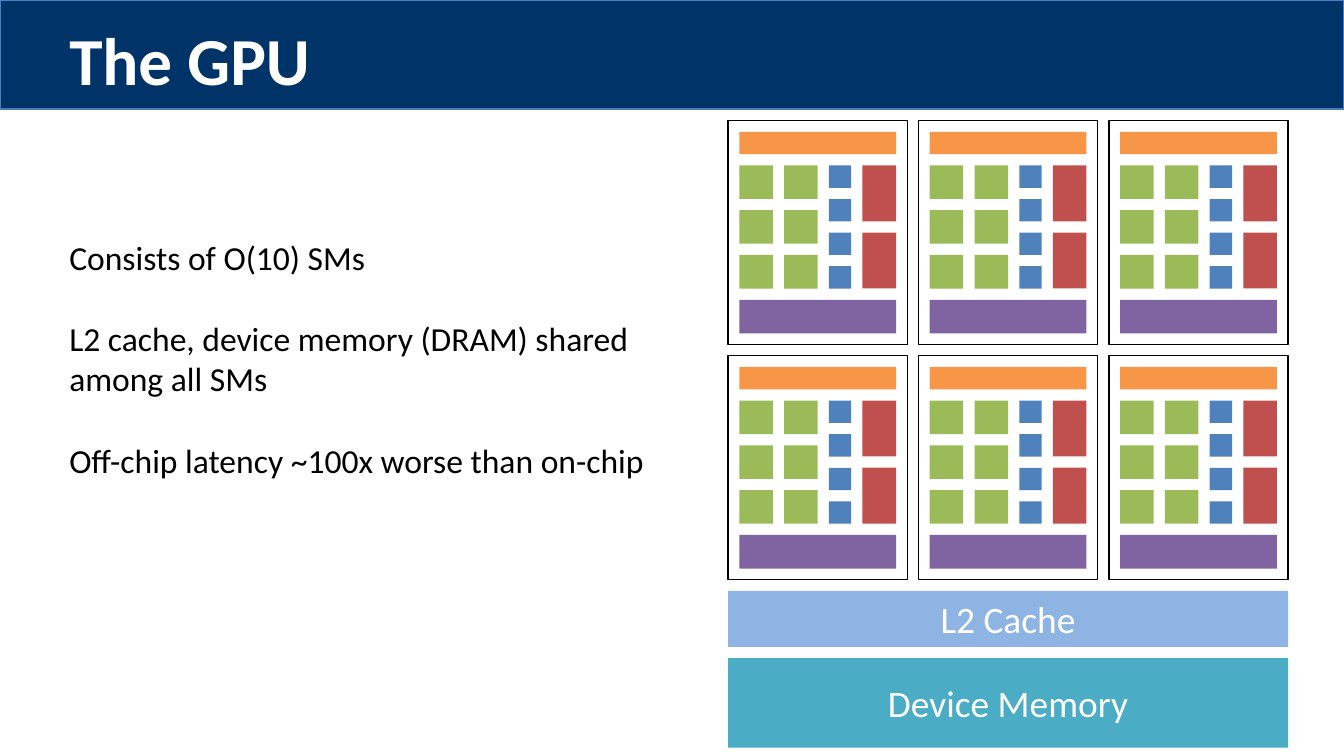
"""Build a slide showing a GPU made of SMs, an L2 cache and device memory."""
from pptx import Presentation
from pptx.dml.color import RGBColor
from pptx.enum.shapes import MSO_SHAPE
from pptx.enum.text import MSO_ANCHOR, PP_ALIGN
from pptx.util import Cm, Pt

NAVY = RGBColor(0x00, 0x33, 0x67)
EDGE_BLUE = RGBColor(0x4B, 0x7E, 0xBC)
WHITE = RGBColor(0xFF, 0xFF, 0xFF)
BLACK = RGBColor(0x00, 0x00, 0x00)
GREEN = RGBColor(0x9B, 0xBB, 0x59)
BLUE = RGBColor(0x4F, 0x81, 0xBD)
RED = RGBColor(0xC0, 0x50, 0x4D)
PURPLE = RGBColor(0x80, 0x64, 0xA2)
ORANGE = RGBColor(0xF7, 0x96, 0x46)
TEAL = RGBColor(0x4B, 0xAC, 0xC6)
PALE_BLUE = RGBColor(0x8E, 0xB4, 0xE3)

TITLE = "The GPU"
POINTS = [
    "Consists of O(10) SMs",
    "L2 cache, device memory (DRAM) shared among all SMs",
    "Off-chip latency ~100x worse than on-chip",
]

UNIT = Cm(2.54) / 12
GRID_LEFT, GRID_TOP = Cm(13.76), Cm(2.28)
SM_COLUMNS, SM_ROWS = 3, 2
SM_WIDTH, SM_HEIGHT, GAP = 16, 20, 1
GPU_WIDTH = SM_COLUMNS * (SM_WIDTH + GAP) - GAP

# color, left, top, width, height, columns, rows (lengths in grid units)
SM_PARTS = [
    (ORANGE, 1, 1, 14, 2, 1, 1),
    (GREEN, 1, 4, 3, 3, 2, 3),
    (BLUE, 9, 4, 2, 2, 1, 4),
    (RED, 12, 4, 3, 5, 1, 2),
    (PURPLE, 1, 16, 14, 3, 1, 1),
]
MEMORIES = [("L2 Cache", PALE_BLUE, 5), ("Device Memory", TEAL, 8)]


def add_box(slide, left, top, width, height, fill, line=None):
    box = slide.shapes.add_shape(
        MSO_SHAPE.RECTANGLE, round(left), round(top), round(width), round(height))
    box.shadow.inherit = False
    box.fill.solid()
    box.fill.fore_color.rgb = fill
    if line is None:
        box.line.fill.background()
    else:
        box.line.color.rgb = line
        box.line.width = Pt(0.75)
    return box


def add_unit_box(slide, left, top, width, height, fill, line=None):
    return add_box(slide, GRID_LEFT + left * UNIT, GRID_TOP + top * UNIT,
                   width * UNIT, height * UNIT, fill, line)


def write(paragraph, text, size, color, bold=False):
    paragraph.text = text
    font = paragraph.font
    font.name, font.size, font.bold = "Calibri", Pt(size), bold
    font.color.rgb = color


def add_text_frame(slide, left, top, width, height):
    frame = slide.shapes.add_textbox(left, top, width, height).text_frame
    frame.word_wrap = True
    return frame


def add_sm(slide, left, top):
    add_unit_box(slide, left, top, SM_WIDTH, SM_HEIGHT, WHITE, BLACK)
    for color, x, y, width, height, columns, rows in SM_PARTS:
        for row in range(rows):
            for column in range(columns):
                add_unit_box(slide, left + x + column * (width + GAP),
                             top + y + row * (height + GAP), width, height, color)


def main():
    deck = Presentation()
    deck.slide_width, deck.slide_height = Cm(25.4), Cm(14.29)
    slide = deck.slides.add_slide(deck.slide_layouts[6])

    add_box(slide, 0, 0, deck.slide_width, Cm(2.06), NAVY, EDGE_BLUE)
    title = add_text_frame(slide, Cm(1.06), Cm(0.23), Cm(22.02), Cm(1.8))
    write(title.paragraphs[0], TITLE, 36, WHITE, bold=True)

    body = add_text_frame(slide, Cm(1.06), Cm(2.79), Cm(12.07), Cm(10.16))
    body.margin_top = Cm(1.68)
    for index, point in enumerate(POINTS):
        paragraph = body.add_paragraph() if index else body.paragraphs[0]
        write(paragraph, point, 18, BLACK)
        if index:
            paragraph.space_before = Pt(22)

    for row in range(SM_ROWS):
        for column in range(SM_COLUMNS):
            add_sm(slide, column * (SM_WIDTH + GAP), row * (SM_HEIGHT + GAP))

    top = SM_ROWS * (SM_HEIGHT + GAP)
    for label, color, height in MEMORIES:
        frame = add_unit_box(slide, 0, top, GPU_WIDTH, height, color).text_frame
        frame.vertical_anchor = MSO_ANCHOR.MIDDLE
        frame.paragraphs[0].alignment = PP_ALIGN.CENTER
        write(frame.paragraphs[0], label, 20, WHITE)
        top += height + GAP

    deck.save("out.pptx")


if __name__ == "__main__":
    main()
